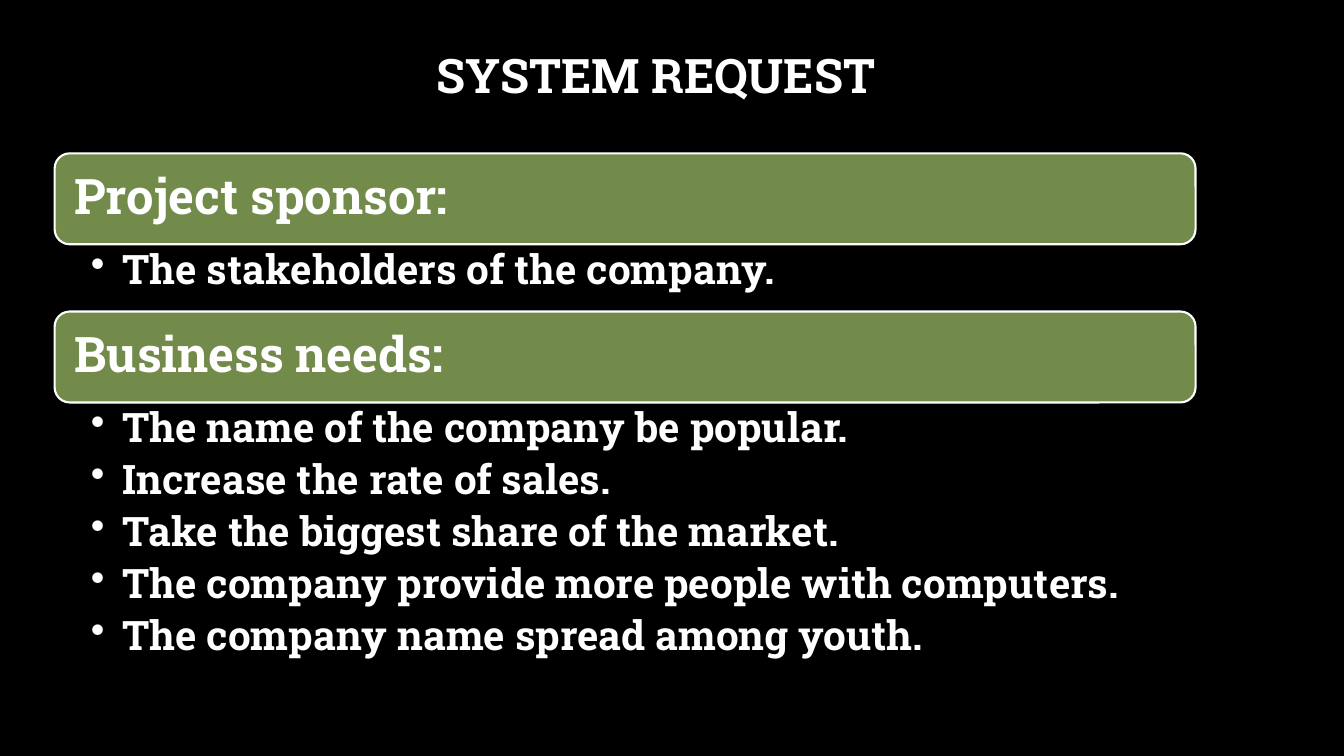
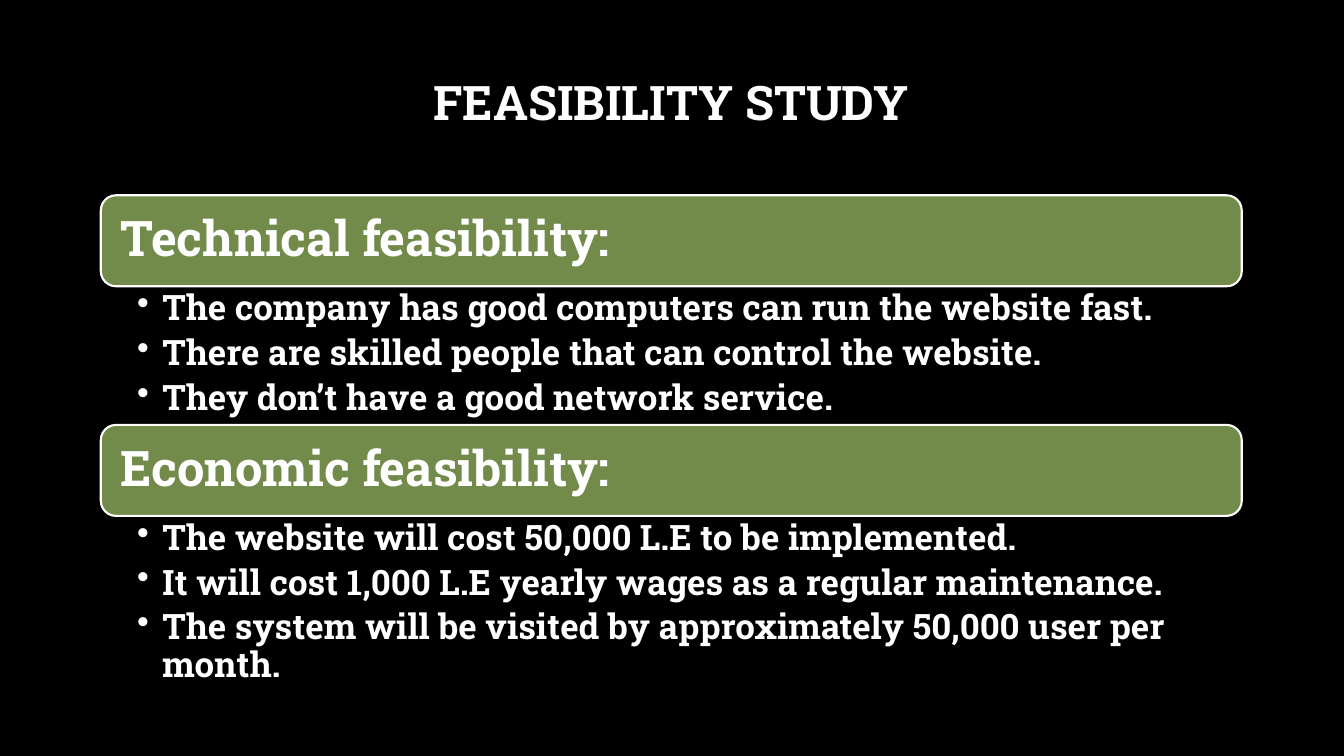
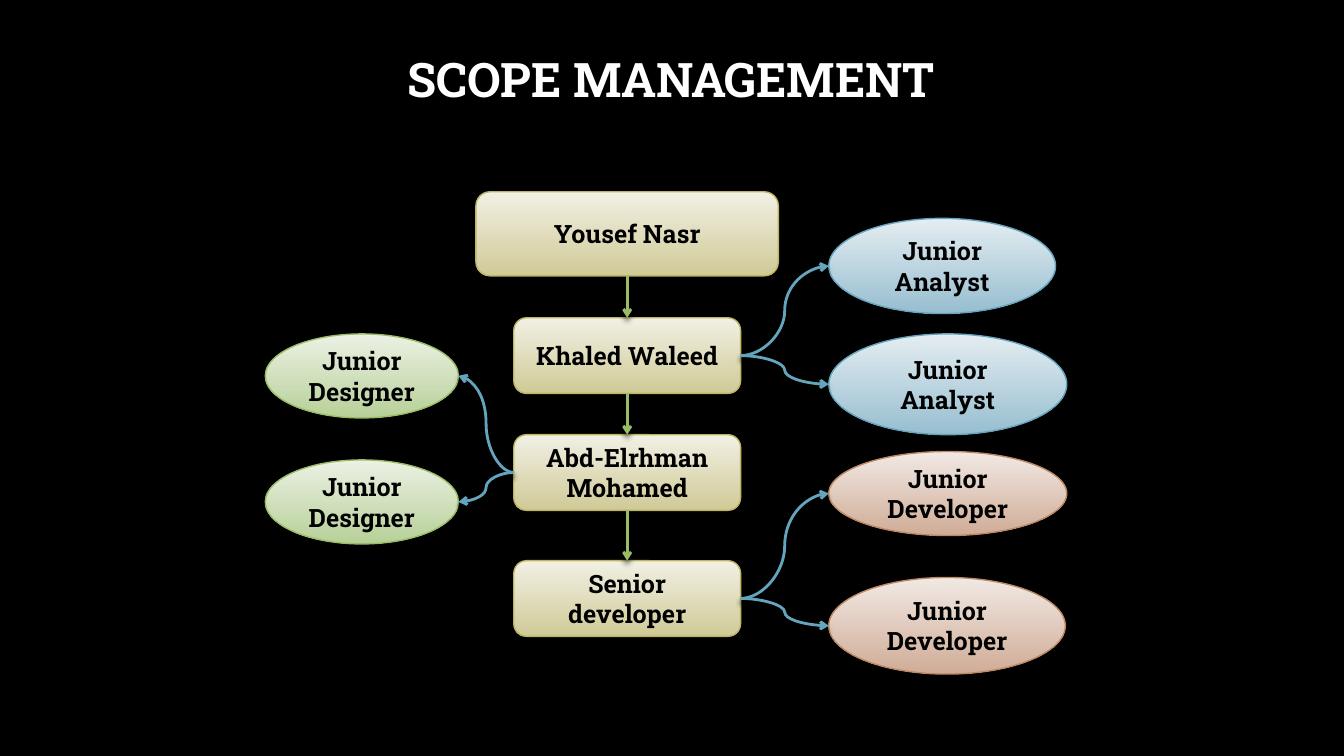
from itertools import pairwise

from lxml.etree import SubElement
from pptx import Presentation
from pptx.dml.color import RGBColor
from pptx.enum.shapes import MSO_CONNECTOR as Link, MSO_SHAPE as Kind
from pptx.enum.text import MSO_ANCHOR as Anchor, PP_ALIGN as Align
from pptx.oxml.ns import qn
from pptx.util import Pt

FACE = "Roboto Slab"
BLACK, WHITE, OLIVE = "000000", "FFFFFF", "728B4B"
GREEN, BLUE = "9ABC65", "64A4BD"
BAND_W, BAND_H = 815, 65

LISTS = [
    dict(
        title=("SYSTEM REQUEST", 217, 3.5, 503),
        left=39, top=109.5, size=29, indent=22.5, inset=(26, 3.6, 21, 3.6),
        parts=[
            ("Project sponsor:", 48, ["The stakeholders of the company."]),
            ("Business needs:", 190, [
                "The name of the company be popular.",
                "Increase the rate of sales.",
                "Take the biggest share of the market.",
                "The company provide more people with computers.",
                "The company name spread among youth.",
            ]),
        ],
    ),
    dict(
        title=("FEASIBILITY STUDY", 72, 22.5, 815),
        left=72, top=139.5, size=25, indent=18, inset=(26, 3, 18, 3),
        parts=[
            ("Technical feasibility:", 99, [
                "The company has good computers can run the website fast.",
                "There are skilled people that can control the website.",
                "They don’t have a good network service.",
            ]),
            ("Economic feasibility:", 125, [
                "The website will cost 50,000 L.E to be implemented.",
                "It will cost 1,000 L.E yearly wages as a regular maintenance.",
                "The system will be visited by approximately 50,000 user per month.",
            ]),
        ],
    ),
]

CHART = ("SCOPE MANAGEMENT", 72, 6.5, 815)
MID = 448
SAND = ("F1F0E4", "D0CA97", "BDB564")
SKY = ("E4EDF1", "97BED0", BLUE)
LEAF = ("EBF1E4", "B7D098", GREEN)
CLAY = ("F1E9E4", "D0AC97", "BD8964")
CHAIN = [
    ("Yousef Nasr", 137, 216, 60),
    ("Khaled Waleed", 227, 162, 54),
    ("Abd-Elrhman Mohamed", 310.5, 162, 54),
    ("Senior developer", 400.5, 162, 54),
]
TEAMS = [
    (1, "Junior Analyst", SKY, [(592, 156, 162, 68), (592, 238.5, 170, 72)]),
    (2, "Junior Designer", LEAF, [(189.5, 238.5, 138, 60), (189.5, 328.5, 138, 60)]),
    (3, "Junior Developer", CLAY, [(592, 322.5, 170, 60), (592, 412.5, 169, 69)]),
]


def rgb(code):
    return RGBColor.from_string(code)


def write(shape, lines, size, color=WHITE, align=Align.LEFT, anchor=Anchor.MIDDLE,
          inset=(7.2, 3.6, 7.2, 3.6), spacing=0.9, after=0, indent=0):
    frame = shape.text_frame
    frame.word_wrap = True
    frame.vertical_anchor = anchor
    (frame.margin_left, frame.margin_top,
     frame.margin_right, frame.margin_bottom) = map(Pt, inset)
    frame.text = "\n".join(lines)
    for para in frame.paragraphs:
        if indent:
            props = para._p.get_or_add_pPr()
            props.set("marL", str(Pt(indent)))
            props.set("indent", str(-Pt(indent)))
            SubElement(props, qn("a:buChar"), char="•")
        para.alignment = align
        para.line_spacing = spacing
        para.space_after = Pt(after * size)
        font = para.font
        font.name, font.size, font.bold = FACE, Pt(size), True
        font.color.rgb = rgb(color)


def text(slide, box, lines, size, **style):
    write(slide.shapes.add_textbox(*map(Pt, box)), lines, size, **style)


def shape(slide, kind, box, edge, width):
    item = slide.shapes.add_shape(kind, *map(Pt, box))
    item.shadow.inherit = False
    item.line.color.rgb = rgb(edge)
    item.line.width = Pt(width)
    return item


def start(deck, title):
    slide = deck.slides.add_slide(deck.slide_layouts[6])
    words, left, top, width = title
    text(slide, (left, top, width, 104.5), [words], 34, align=Align.CENTER)
    return slide


def outline(deck, data):
    slide = start(deck, data["title"])
    left, top = data["left"], data["top"]
    for head, height, points in data["parts"]:
        band = shape(slide, Kind.ROUNDED_RECTANGLE, (left, top, BAND_W, BAND_H), WHITE, 1.5)
        band.fill.solid()
        band.fill.fore_color.rgb = rgb(OLIVE)
        write(band, [head], 35, inset=(10.8,) * 4, after=0.35)
        top += BAND_H
        text(slide, (left, top, BAND_W, height), points, data["size"],
             anchor=Anchor.TOP, inset=data["inset"], after=0.2, indent=data["indent"])
        top += height


def node(slide, kind, box, words, tint):
    light, dark, edge = tint
    item = shape(slide, kind, box, edge, 1)
    item.fill.gradient()
    item.fill.gradient_angle = 270
    for stop, code in zip(item.fill.gradient_stops, (light, dark)):
        stop.color.rgb = rgb(code)
    write(item, [words], 18, color=BLACK, align=Align.CENTER, spacing=1)
    return item


def arrow(slide, kind, ends, color):
    item = slide.shapes.add_connector(kind, *map(Pt, ends))
    item.line.color.rgb = rgb(color)
    item.line.width = Pt(2)
    SubElement(item.line._get_or_add_ln(), qn("a:tailEnd"), type="arrow")
    effects = SubElement(item._element.spPr, qn("a:effectLst"))
    shade = SubElement(effects, qn("a:outerShdw"), blurRad=str(Pt(4)),
                       dist=str(Pt(3)), dir="5400000", rotWithShape="0")
    tone = SubElement(shade, qn("a:srgbClr"), val=BLACK)
    SubElement(tone, qn("a:alpha"), val="54000")
    return item


def tree(deck):
    slide = start(deck, CHART)
    boxes = [
        node(slide, Kind.ROUNDED_RECTANGLE, (MID - wide / 2, top, wide, high), words, SAND)
        for words, top, wide, high in CHAIN
    ]
    for upper, lower in pairwise(boxes):
        line = arrow(slide, Link.STRAIGHT, (0, 0, 0, 0), GREEN)
        line.begin_connect(upper, 2)
        line.end_connect(lower, 0)
    for lead, words, tint, spots in TEAMS:
        _, top, wide, high = CHAIN[lead]
        for spot in spots:
            node(slide, Kind.OVAL, spot, words, tint)
            left, y, w, h = spot
            side, edge = (1, left) if left > MID else (-1, left + w)
            arrow(slide, Link.CURVE,
                  (MID + side * wide / 2, top + high / 2, edge, y + h / 2), BLUE)


def main():
    deck = Presentation()
    deck.slide_width, deck.slide_height = Pt(960), Pt(540)
    back = deck.slide_master.background.fill
    back.solid()
    back.fore_color.rgb = rgb(BLACK)
    for data in LISTS:
        outline(deck, data)
    tree(deck)
    deck.save("out.pptx")


if __name__ == "__main__":
    main()
